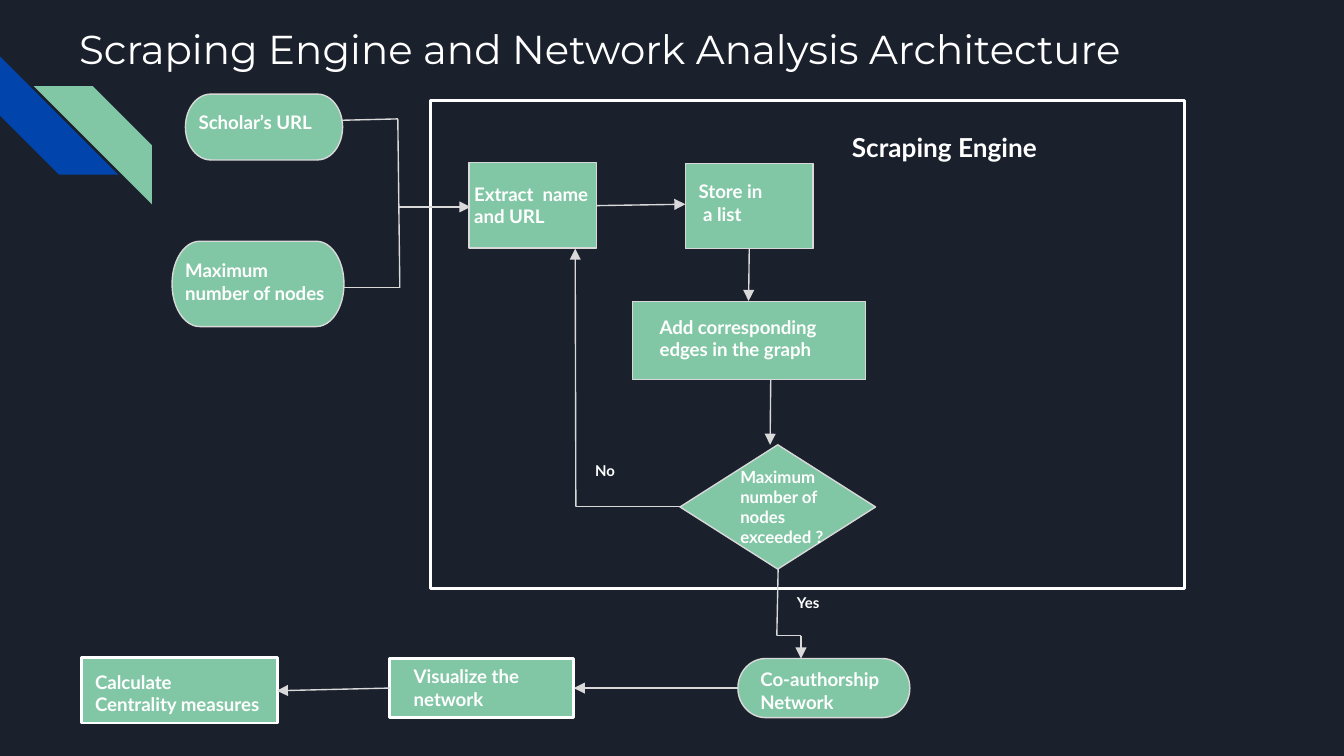
from itertools import pairwise

from lxml.etree import SubElement
from pptx import Presentation
from pptx.dml.color import RGBColor
from pptx.enum.shapes import MSO_CONNECTOR, MSO_SHAPE as Preset
from pptx.enum.text import MSO_AUTO_SIZE as AutoSize
from pptx.oxml.ns import qn
from pptx.util import Inches, Pt

NAVY = RGBColor(0x1B, 0x21, 0x2C)
BLUE = RGBColor(0x01, 0x45, 0xAC)
GREEN = RGBColor(0x82, 0xC7, 0xA5)
GREY = RGBColor(0xD9, 0xD9, 0xD9)
WHITE = RGBColor(0xFF, 0xFF, 0xFF)

COLUMNS, ROWS = 100, 56.25


class FlowSlide:
    thin, thick = Pt(0.75), Pt(1.5)
    body_font, title_font = "Lato", "Montserrat"

    def __init__(self, deck):
        self.column = deck.slide_width / COLUMNS
        self.row = deck.slide_height / ROWS
        self.slide = deck.slides.add_slide(deck.slide_layouts[6])
        self.slide.background.fill.solid()
        self.slide.background.fill.fore_color.rgb = NAVY

    def place(self, *lengths):
        units = (self.column, self.row) * 2
        return [round(length * unit) for length, unit in zip(lengths, units)]

    def shape(self, preset, box, fill=GREEN, line=None, width=thin):
        shape = self.slide.shapes.add_shape(preset, *self.place(*box))
        shape.shadow.inherit = False
        if fill is None:
            shape.fill.background()
        else:
            shape.fill.solid()
            shape.fill.fore_color.rgb = fill
        if line is None:
            shape.line.fill.background()
        else:
            shape.line.color.rgb = line
            shape.line.width = width
        return shape

    def node(self, preset, box):
        return self.shape(preset, box, line=GREY)

    def framed(self, box, fill=GREEN):
        return self.shape(Preset.RECTANGLE, box, fill, WHITE, self.thick)

    def stripe(self, box, fill, rotation=0, mirrored=False):
        stripe = self.shape(Preset.DIAGONAL_STRIPE, box, fill)
        stripe.rotation = rotation
        if mirrored:
            stripe._element.spPr.xfrm.set("flipH", "1")

    def route(self, *points, arrow=True):
        for start, end in pairwise(points):
            leg = self.slide.shapes.add_connector(
                MSO_CONNECTOR.STRAIGHT, *self.place(*start, *end))
            leg.line.color.rgb = GREY
            leg.line.width = self.thin
            if arrow and end == points[-1]:
                SubElement(leg.line._get_or_add_ln(), qn("a:tailEnd"), type="triangle")
            SubElement(leg._element.spPr, qn("a:effectLst"))

    def text(self, words, box, size=10, font=body_font, bold=True):
        frame = self.slide.shapes.add_textbox(*self.place(*box)).text_frame
        frame.word_wrap = True
        frame.auto_size = AutoSize.SHAPE_TO_FIT_TEXT
        frame.margin_left = frame.margin_right = Inches(0.1)
        frame.margin_top = frame.margin_bottom = Inches(0.1)
        frame.text = words
        for paragraph in frame.paragraphs:
            paragraph.font.name = font
            paragraph.font.size = Pt(size)
            paragraph.font.bold = bold
            paragraph.font.color.rgb = WHITE


def main():
    deck = Presentation()
    deck.slide_width, deck.slide_height = Inches(10), Inches(5.625)
    flow = FlowSlide(deck)

    flow.stripe((0, 4.2, 8.8, 8.8), BLUE, rotation=270)
    flow.stripe((2.5, 6.4, 8.8, 8.8), GREEN, mirrored=True)

    for preset, box in (
        (Preset.FLOWCHART_TERMINATOR, (13.8, 7, 11.7, 4.9)),
        (Preset.FLOWCHART_TERMINATOR, (12.8, 17.95, 12.8, 6.35)),
        (Preset.RECTANGLE, (34.9, 12.1, 9.5, 6.35)),
        (Preset.RECTANGLE, (51, 12.15, 9.5, 6.35)),
        (Preset.RECTANGLE, (47.05, 22.45, 17.35, 5.8)),
        (Preset.FLOWCHART_DECISION, (50.6, 33.1, 14.55, 9.25)),
        (Preset.FLOWCHART_TERMINATOR, (54.9, 49, 12.8, 4.4)),
    ):
        flow.node(preset, box)
    flow.framed((32.05, 7.45, 56.1, 36.35), fill=None)
    flow.framed((6.05, 48.9, 14.6, 4.9))
    flow.framed((29, 49, 13.7, 4.4))

    flow.route((25.4, 8.95), (29.6, 8.85), (29.75, 21.4), (25.5, 21.4), arrow=False)
    flow.route((29.7, 15.4), (35, 15.4))
    flow.route((44.4, 15.3), (51, 15.2))
    flow.route((55.75, 18.5), (55.7, 22.4))
    flow.route((57.35, 28.2), (57.3, 33.1))
    flow.route((50.7, 37.7), (42.85, 37.7), (42.8, 18.5))
    flow.route((57.9, 42.3), (57.8, 47.3), (59.6, 47.3), (59.6, 49))
    flow.route((54.9, 51.2), (42.7, 51.2))
    flow.route((29, 51.2), (20.6, 51.4))

    flow.text("Scraping Engine and Network Analysis Architecture",
              (4.9, 0.8, 92.9, 5.8), 21.6, FlowSlide.title_font, bold=False)
    flow.text("Scraping Engine", (62.4, 8.8, 19, 4.4), 14)
    flow.text("Maximum\nnumber of nodes\nexceeded ?", (54.1, 33.7, 11, 8.1), 9)
    flow.text("No", (43.3, 33.7, 5.2, 3.4), 8)
    flow.text("Yes", (58.3, 43.5, 5.2, 3.4), 8)
    for words, box in (
        ("Scholar’s URL", (13.8, 7.4, 13.7, 3.7)),
        ("Maximum\nnumber of nodes", (12.8, 18.3, 13.7, 5.4)),
        ("Extract  name and URL", (34.3, 12.6, 11, 5.4)),
        ("Store in\n a list", (51, 12.4, 11, 5.4)),
        ("Add corresponding edges in the graph", (48.1, 22.5, 15.3, 5.4)),
        ("Co-authorship Network", (55.6, 48.7, 14.5, 5.4)),
        ("Visualize the network", (29.8, 48.5, 13.5, 5.4)),
        ("Calculate\nCentrality measures", (6.1, 48.9, 17.7, 5.4)),
    ):
        flow.text(words, box)

    deck.save("out.pptx")


if __name__ == "__main__":
    main()
